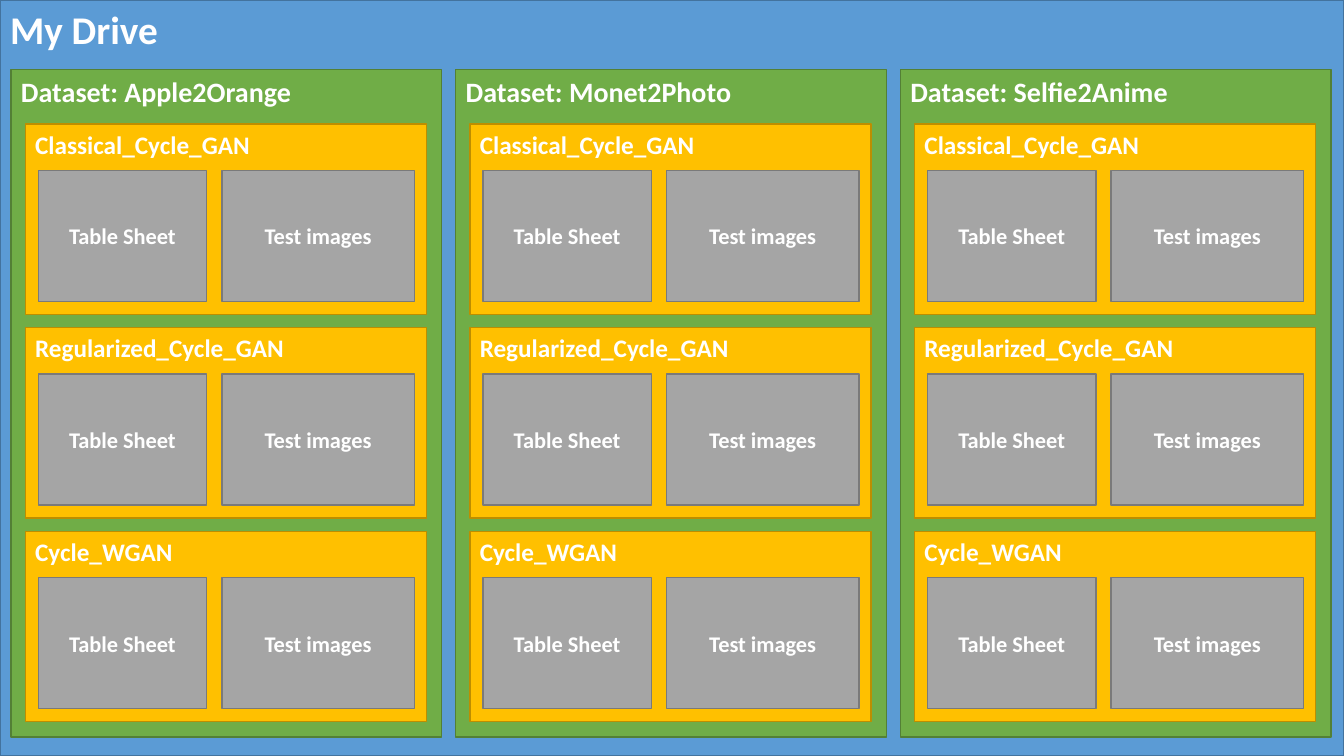
from dataclasses import dataclass

from pptx import Presentation
from pptx.dml.color import RGBColor
from pptx.enum.shapes import MSO_SHAPE
from pptx.enum.text import MSO_ANCHOR, MSO_AUTO_SIZE, PP_ALIGN
from pptx.util import Inches, Pt

RECT = MSO_SHAPE.RECTANGLE
TOP, MIDDLE = MSO_ANCHOR.TOP, MSO_ANCHOR.MIDDLE
LEFT, CENTER = PP_ALIGN.LEFT, PP_ALIGN.CENTER
NO_FIT = MSO_AUTO_SIZE.NONE


@dataclass(frozen=True)
class Style:
    fill: str
    edge: str
    size: int
    anchor: int = TOP
    align: int = LEFT


@dataclass(frozen=True)
class Theme:
    font: str = "Calibri"
    ink: str = "FFFFFF"
    drive: Style = Style("5B9BD5", "43739E", 28)
    data: Style = Style("70AD47", "538035", 20)
    model: Style = Style("FFC000", "BD8E00", 18)
    file: Style = Style("A5A5A5", "7A7A7A", 16, MIDDLE, CENTER)


THEME = Theme()
WIDE, HIGH = 13.33, 7.5
SETS = ["Apple2Orange", "Monet2Photo", "Selfie2Anime"]
MODELS = ["Classical_Cycle_GAN", "Regularized_Cycle_GAN", "Cycle_WGAN"]
# Each file: label, offset from the model's left edge, width
FILES = [("Table Sheet", 0.13, 1.67), ("Test images", 1.95, 1.91)]


def dress(shape, text, style):
    """Give a shape its fill, edge and label."""
    shape.fill.solid()
    shape.fill.fore_color.rgb = RGBColor.from_string(style.fill)
    shape.line.color.rgb = RGBColor.from_string(style.edge)
    shape.line.width = Pt(1)
    frame = shape.text_frame
    frame.word_wrap = True
    frame.auto_size = NO_FIT
    frame.vertical_anchor = style.anchor
    para = frame.paragraphs[0]
    para.alignment = style.align
    run = para.add_run()
    run.text = text
    font = run.font
    font.name, font.size, font.bold = THEME.font, Pt(style.size), True
    font.color.rgb = RGBColor.from_string(THEME.ink)


def add_box(slide, box, text, style):
    shape = slide.shapes.add_shape(RECT, *map(Inches, box))
    shape.shadow.inherit = False
    dress(shape, text, style)


def add_model(slide, box, name):
    """A model folder with its two files."""
    left, top, _, _ = box
    add_box(slide, box, name, THEME.model)
    for label, shift, width in FILES:
        add_box(slide, (left + shift, top + 0.46, width, 1.3), label, THEME.file)


def add_data(slide, box, name):
    """A dataset folder with its stack of models."""
    left, top, width, _ = box
    add_box(slide, box, f"Dataset: {name}", THEME.data)
    for row, model in enumerate(MODELS):
        place = (left + 0.14, top + 0.54 + row * 2.02, width - 0.29, 1.89)
        add_model(slide, place, model)


def add_drive(slide, box):
    """The whole drive: the title is the backdrop of the datasets."""
    left, top, _, _ = box
    title = slide.shapes.title
    title.left, title.top, title.width, title.height = map(Inches, box)
    dress(title, "My Drive", THEME.drive)
    for col, name in enumerate(SETS):
        add_data(slide, (left + 0.11 + col * 4.41, top + 0.69, 4.27, 6.62), name)


deck = Presentation()
deck.slide_width, deck.slide_height = Inches(WIDE), Inches(HIGH)
page = deck.slides.add_slide(deck.slide_layouts.get_by_name("Title Only"))
add_drive(page, (0, 0, WIDE, HIGH))
deck.save("out.pptx")
